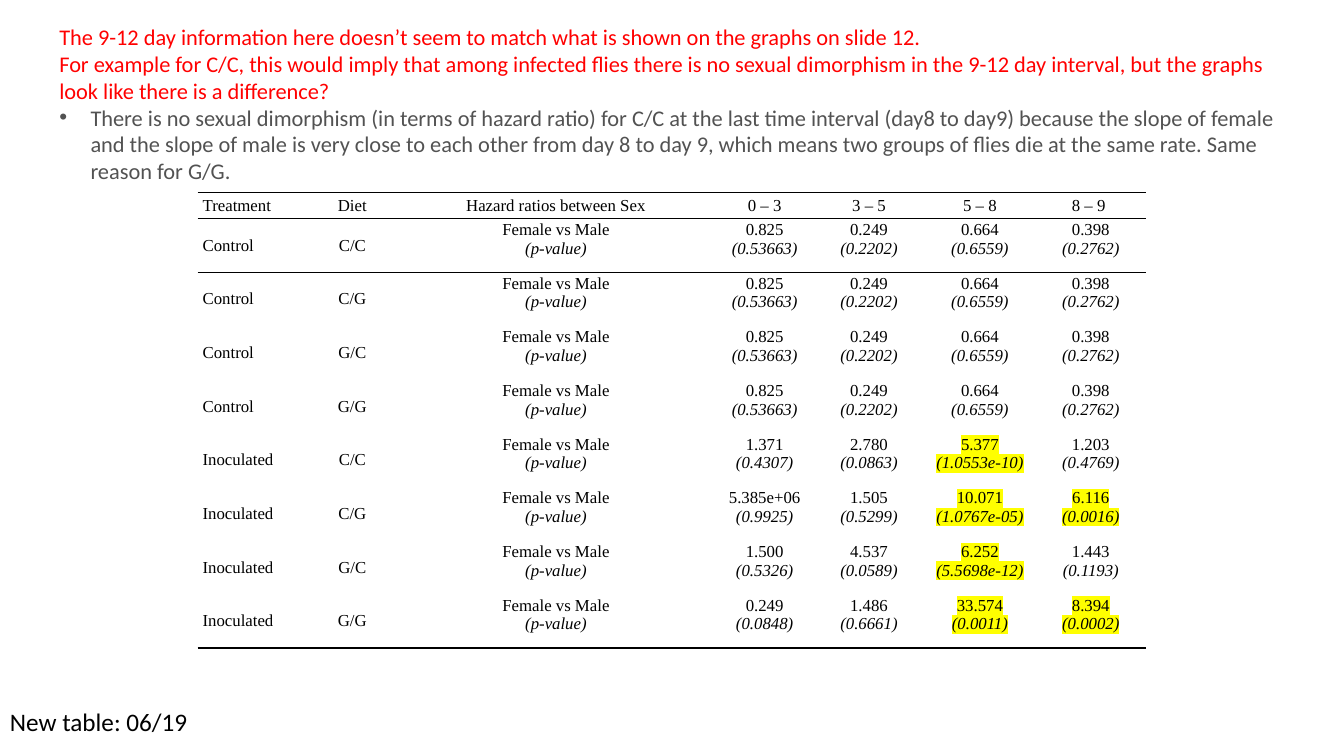
from lxml import etree
from pptx import Presentation
from pptx.dml.color import RGBColor
from pptx.enum.text import MSO_ANCHOR, MSO_AUTO_SIZE, PP_ALIGN
from pptx.oxml.ns import qn
from pptx.util import Inches, Pt

TABLE_LEFT, TABLE_TOP, TABLE_HEIGHT = 1.96, 1.91, 4.52
HEADER_HEIGHT = 0.26
COLUMN_WIDTHS = [1.1, 0.87, 3.17, 0.97, 1.1, 1.1, 1.1]
HEADERS = ["Treatment", "Diet", "Hazard ratios between Sex",
           "0 – 3", "3 – 5", "5 – 8", "8 – 9 "]
DIETS = ["C/C", "C/G", "G/C", "G/G"]
COMPARISON = ("Female vs Male", "p-value")
CONTROL_RATIOS = [("0.825", "0.53663"), ("0.249", "0.2202"),
                  ("0.664", "0.6559"), ("0.398", "0.2762")]
INOCULATED_RATIOS = [
    [("1.371", "0.4307"), ("2.780", "0.0863"), ("5.377", "1.0553e-10"), ("1.203", "0.4769")],
    [("5.385e+06", "0.9925"), ("1.505", "0.5299"), ("10.071", "1.0767e-05"), ("6.116", "0.0016")],
    [("1.500", "0.5326"), ("4.537", "0.0589"), ("6.252", "5.5698e-12"), ("1.443", "0.1193")],
    [("0.249", "0.0848"), ("1.486", "0.6661"), ("33.574", "0.0011"), ("8.394", "0.0002")],
]
SIGNIFICANCE_LEVEL = 0.05
NO_TABLE_STYLE = "{2D5ABB26-0587-4C30-8999-92F81FD0307C}"

RED, GRAY, BLACK, YELLOW = "FF0000", "525252", "000000", "FFFF00"
COMMENTS = [
    ("The 9-12 day information here doesn’t seem to match what is shown on the graphs "
     "on slide 12.", RED, False),
    ("For example for C/C, this would imply that among infected flies there is no sexual "
     "dimorphism in the 9-12 day interval, but the graphs look like there is a difference?",
     RED, False),
    ("There is no sexual dimorphism (in terms of hazard ratio) for C/C at the last time "
     "interval (day8 to day9) because the slope of female and the slope of male is very "
     "close to each other from day 8 to day 9, which means two groups of flies die at the "
     "same rate. Same reason for G/G.", GRAY, True),
]


def rgb(value):
    return RGBColor.from_string(value)


def add_color(parent, value):
    etree.SubElement(parent, qn("a:srgbClr"), val=value)


class SlideBuilder:
    text_font = "Calibri"
    table_font = "Times New Roman"
    table_size = 12

    def __init__(self, slide):
        self.slide = slide

    def format_run(self, run, font_name, size, color, italic=False, highlight=None):
        font = run.font
        font.name, font.size, font.italic = font_name, Pt(size), italic
        font.color.rgb = rgb(color)
        if highlight:
            marker = etree.Element(qn("a:highlight"))
            add_color(marker, highlight)
            run._r.get_or_add_rPr().find(qn("a:solidFill")).addnext(marker)

    def add_bullet(self, paragraph, indent):
        properties = paragraph._p.get_or_add_pPr()
        properties.set("marL", str(Inches(indent)))
        properties.set("indent", str(-Inches(indent)))
        etree.SubElement(properties, qn("a:buFont"), typeface="Arial")
        etree.SubElement(properties, qn("a:buChar"), char="•")

    def add_text(self, left, top, width, height, lines, size, wrap=True):
        """Add a text box; each line is (text, color, has bullet)."""
        box = self.slide.shapes.add_textbox(
            Inches(left), Inches(top), Inches(width), Inches(height))
        frame = box.text_frame
        frame.word_wrap = wrap
        frame.auto_size = MSO_AUTO_SIZE.SHAPE_TO_FIT_TEXT
        frame.text = "\n".join(text for text, _, _ in lines)
        for paragraph, (_, color, bulleted) in zip(frame.paragraphs, lines):
            self.format_run(paragraph.runs[0], self.text_font, size, color)
            if bulleted:
                self.add_bullet(paragraph, 0.31)

    def add_border(self, cell, side):
        line = etree.SubElement(cell._tc.get_or_add_tcPr(), qn(f"a:ln{side}"), w=str(Pt(1)))
        add_color(etree.SubElement(line, qn("a:solidFill")), BLACK)

    def fill_cell(self, cell, content, centered, sides):
        """Write a plain label, or a value above its italic note in brackets."""
        paired = isinstance(content, tuple)
        highlight = None
        if paired:
            value, note = content
            cell.text_frame.text = f"{value}\n({note})"
            if content != COMPARISON and float(note) < SIGNIFICANCE_LEVEL:
                highlight = YELLOW
        else:
            cell.text_frame.text = content
        cell.vertical_anchor = MSO_ANCHOR.TOP if paired else MSO_ANCHOR.MIDDLE
        cell.margin_left = cell.margin_right = Inches(0.05)
        cell.margin_top = cell.margin_bottom = Inches(0.02)
        for index, paragraph in enumerate(cell.text_frame.paragraphs):
            paragraph.alignment = PP_ALIGN.CENTER if centered else PP_ALIGN.LEFT
            self.format_run(paragraph.runs[0], self.table_font, self.table_size, BLACK,
                            italic=index == 1, highlight=highlight)
        for side in sides:
            self.add_border(cell, side)
        cell.fill.background()

    def add_table(self, rows):
        frame = self.slide.shapes.add_table(
            len(rows), len(COLUMN_WIDTHS), Inches(TABLE_LEFT), Inches(TABLE_TOP),
            Inches(sum(COLUMN_WIDTHS)), Inches(TABLE_HEIGHT))
        table = frame.table
        table.first_row = table.horz_banding = False
        table._tbl.tblPr.find(qn("a:tableStyleId")).text = NO_TABLE_STYLE
        for column, width in zip(table.columns, COLUMN_WIDTHS):
            column.width = Inches(width)
        body_height = (TABLE_HEIGHT - HEADER_HEIGHT) / (len(rows) - 1)
        borders = {0: "TB", 1: "T", len(rows) - 1: "B"}
        for row_index, contents in enumerate(rows):
            table.rows[row_index].height = Inches(body_height if row_index else HEADER_HEIGHT)
            for column_index, content in enumerate(contents):
                self.fill_cell(table.cell(row_index, column_index), content,
                               column_index > 0, borders.get(row_index, ""))


def main():
    presentation = Presentation()
    presentation.slide_width, presentation.slide_height = Inches(13.33), Inches(7.5)
    builder = SlideBuilder(presentation.slides.add_slide(presentation.slide_layouts[6]))
    rows = [HEADERS]
    rows += [["Control", diet, COMPARISON, *CONTROL_RATIOS] for diet in DIETS]
    rows += [["Inoculated", diet, COMPARISON, *ratios]
             for diet, ratios in zip(DIETS, INOCULATED_RATIOS)]
    builder.add_table(rows)
    builder.add_text(0, 6.96, 1.98, 0.4, [("New table: 06/19", BLACK, False)], 18, wrap=False)
    builder.add_text(0.49, 0.18, 12.36, 1.72, COMMENTS, 16)
    presentation.save("out.pptx")


if __name__ == "__main__":
    main()
